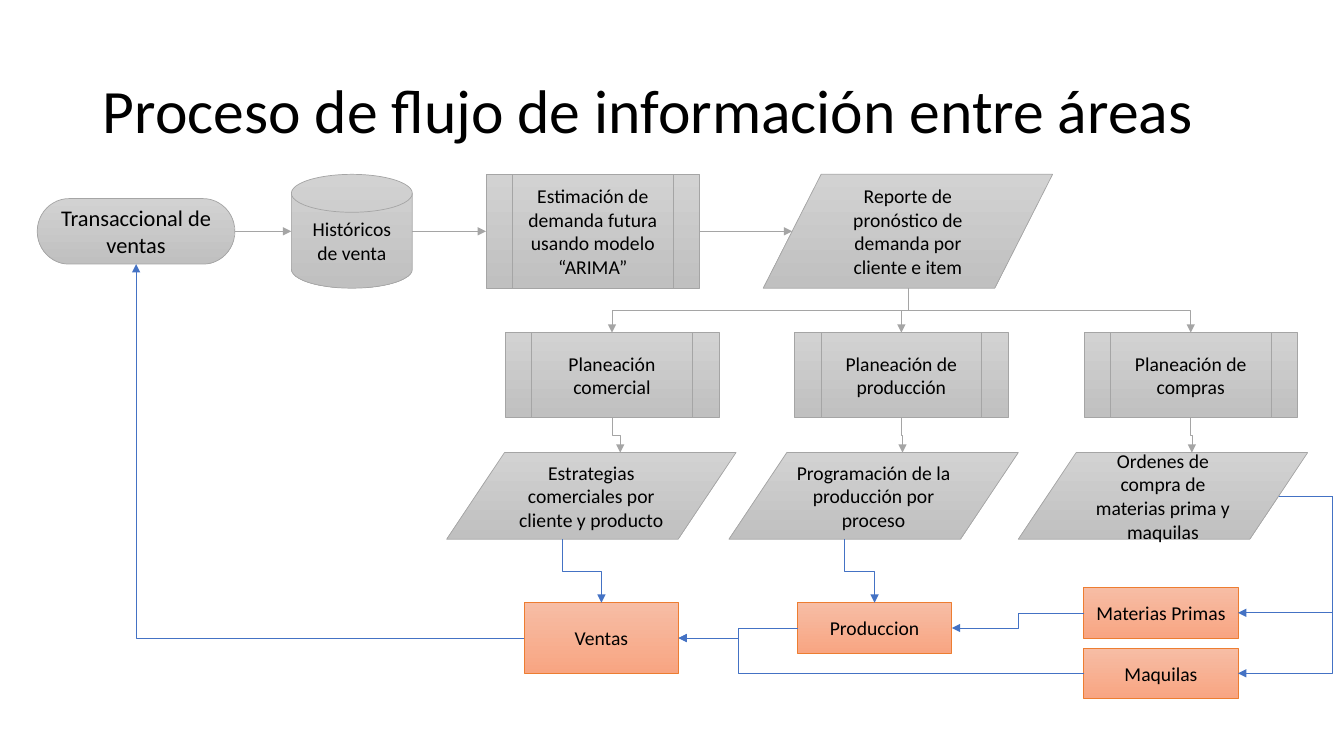
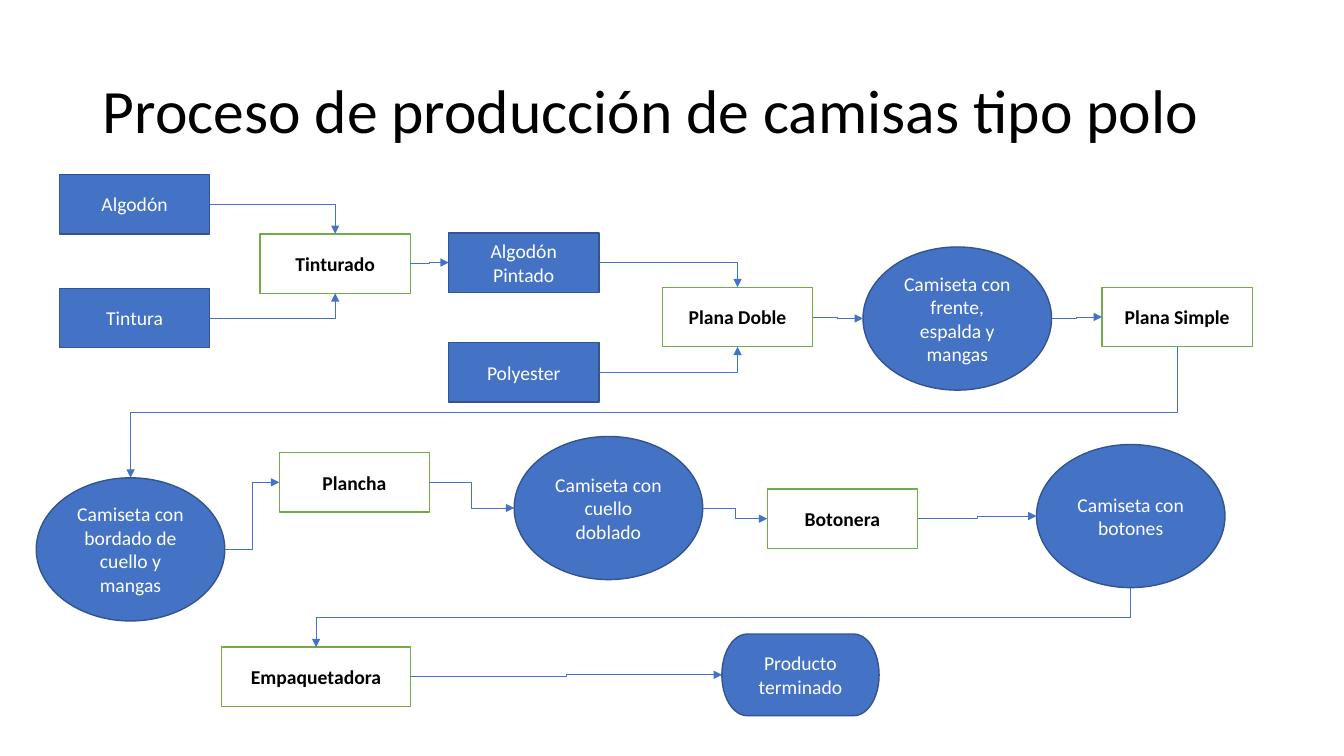
from dataclasses import dataclass
from lxml.etree import SubElement
from pptx import Presentation
from pptx.dml.color import RGBColor
from pptx.enum.shapes import MSO_CONNECTOR, MSO_SHAPE
from pptx.enum.text import MSO_ANCHOR, MSO_AUTO_SIZE, PP_ALIGN
from pptx.oxml.ns import qn
from pptx.util import Inches, Pt


@dataclass(frozen=True)
class Theme:
    font: str = "Calibri"
    black: str = "000000"
    white: str = "FFFFFF"
    gray: str = "A5A5A5"
    blue: str = "4472C4"
    navy: str = "325491"
    orange: str = "ED7D31"
    green: str = "70AD47"
    gray_blend: tuple = ("D2D2D2", "C0C0C0")
    orange_blend: tuple = ("F7BDA5", "F8A582")
    title_size: int = 44
    start_size: int = 16
    box_size: int = 14
    thin: float = 0.5
    outline: float = 1


@dataclass(frozen=True)
class Style:
    preset: MSO_SHAPE
    width: float
    height: float
    fill: object
    line: str
    line_width: float = 1
    text: str = "000000"
    size: int = 14
    bold: bool = False


THEME = Theme()
SLIDE_SIZE = (13.33, 7.5)
TITLE_BOX = (0.92, 0.4, 11.5, 1.45)


# Styles shared by families of boxes
def gray_style(preset, width, height, size=THEME.box_size):
    return Style(preset, width, height, THEME.gray_blend, THEME.gray, THEME.thin, size=size)


def area_style(height):
    return Style(MSO_SHAPE.RECTANGLE, 1.53, height, THEME.orange_blend, THEME.orange, THEME.thin)


def item_style(preset, width, height):
    return Style(preset, width, height, THEME.blue, THEME.navy, THEME.outline, THEME.white)


def machine_style(width):
    return Style(MSO_SHAPE.RECTANGLE, width, 0.59, THEME.white, THEME.green,
                 THEME.outline, bold=True)


STYLES = {
    "start": gray_style(MSO_SHAPE.FLOWCHART_TERMINATOR, 1.96, 0.65, THEME.start_size),
    "store": gray_style(MSO_SHAPE.FLOWCHART_MAGNETIC_DISK, 1.2, 1.13),
    "model": gray_style(MSO_SHAPE.FLOWCHART_PREDEFINED_PROCESS, 2.12, 1.13),
    "plan": gray_style(MSO_SHAPE.FLOWCHART_PREDEFINED_PROCESS, 2.12, 0.84),
    "report": gray_style(MSO_SHAPE.FLOWCHART_DATA, 2.87, 1.13),
    "output": gray_style(MSO_SHAPE.FLOWCHART_DATA, 2.87, 0.86),
    "sales": area_style(0.7),
    "area": area_style(0.5),
    "material": item_style(MSO_SHAPE.RECTANGLE, 1.49, 0.59),
    "garment": item_style(MSO_SHAPE.OVAL, 1.87, 1.42),
    "finished": item_style(MSO_SHAPE.FLOWCHART_TERMINATOR, 1.56, 0.81),
    "machine": machine_style(1.49),
    "packer": machine_style(1.87),
}

# Connection sites: side -> (site index, share of width, share of height)
BOX_SITES = {"top": (0, 0.5, 0), "left": (1, 0, 0.5),
             "bottom": (2, 0.5, 1), "right": (3, 1, 0.5)}
SITES = {
    MSO_SHAPE.FLOWCHART_MAGNETIC_DISK: {"left": (2, 0, 0.5), "right": (4, 1, 0.5)},
    MSO_SHAPE.FLOWCHART_DATA: {"top": (0, 0.6, 0), "left": (2, 0.1, 0.5),
                               "foot": (3, 0.4, 1), "bottom": (4, 0.5, 1),
                               "right": (5, 0.9, 0.5)},
    MSO_SHAPE.OVAL: {"top": (0, 0.5, 0), "left": (2, 0, 0.5),
                     "bottom": (4, 0.5, 1), "right": (6, 1, 0.5)},
}

# Content: boxes are key: (style, left, top, text)
# Links are (from, side, to, side, colour[, x of the bend])
PLAN_LEFT, PLAN_STEP = 5.01, 2.87
ROW_FORECAST, ROW_PLAN, ROW_OUTPUT, ROW_AREA = 1.73, 3.3, 4.49, 5.98
SUPPLY_LEFT = PLAN_LEFT + 2 * PLAN_STEP
OUTER_BEND, SALES_BEND = 13.22, 7.32

INFORMATION_BOXES = {
    "transactions": ("start", 0.37, 1.97, "Transaccional de ventas"),
    "history": ("store", 2.89, ROW_FORECAST, "Históricos de venta"),
    "estimate": ("model", 4.82, ROW_FORECAST,
                 "Estimación de demanda futura usando modelo “ARIMA”"),
    "forecast": ("report", 7.57, ROW_FORECAST,
                 "Reporte de pronóstico de demanda por cliente e item"),
    "plan_sales": ("plan", PLAN_LEFT, ROW_PLAN, "Planeación comercial"),
    "plan_making": ("plan", PLAN_LEFT + PLAN_STEP, ROW_PLAN, "Planeación de producción"),
    "plan_buying": ("plan", SUPPLY_LEFT, ROW_PLAN, "Planeación de compras"),
    "strategies": ("output", 4.43, ROW_OUTPUT,
                   "Estrategias comerciales por cliente y producto"),
    "schedule": ("output", 7.23, ROW_OUTPUT, "Programación de la producción por proceso"),
    "orders": ("output", 10.1, ROW_OUTPUT,
               "Ordenes de compra de materias prima y maquilas"),
    "sales": ("sales", 5.2, ROW_AREA, "Ventas"),
    "production": ("area", 7.91, ROW_AREA, "Produccion"),
    "raw": ("area", SUPPLY_LEFT, 5.83, "Materias Primas"),
    "contractors": ("area", SUPPLY_LEFT, 6.43, "Maquilas"),
}
INFORMATION_LINKS = [
    ("transactions", "right", "history", "left", THEME.gray),
    ("history", "right", "estimate", "left", THEME.gray),
    ("estimate", "right", "forecast", "left", THEME.gray),
    ("forecast", "bottom", "plan_sales", "top", THEME.gray),
    ("forecast", "bottom", "plan_making", "top", THEME.gray),
    ("forecast", "bottom", "plan_buying", "top", THEME.gray),
    ("plan_sales", "bottom", "strategies", "top", THEME.gray),
    ("plan_making", "bottom", "schedule", "top", THEME.gray),
    ("plan_buying", "bottom", "orders", "top", THEME.gray),
    ("strategies", "foot", "sales", "top", THEME.blue),
    ("schedule", "foot", "production", "top", THEME.blue),
    ("sales", "left", "transactions", "bottom", THEME.blue),
    ("orders", "right", "raw", "right", THEME.blue, OUTER_BEND),
    ("orders", "right", "contractors", "right", THEME.blue, OUTER_BEND),
    ("raw", "left", "production", "right", THEME.blue),
    ("contractors", "left", "sales", "right", THEME.blue, SALES_BEND),
    ("production", "left", "sales", "right", THEME.blue),
]

SHIRT_BOXES = {
    "cotton": ("material", 0.59, 1.73, "Algodón"),
    "dye": ("material", 0.59, 2.86, "Tintura"),
    "dyeing": ("machine", 2.58, 2.32, "Tinturado"),
    "dyed": ("material", 4.45, 2.31, "Algodón Pintado"),
    "polyester": ("material", 4.45, 3.4, "Polyester"),
    "double": ("machine", 6.57, 2.85, "Plana Doble"),
    "body": ("garment", 8.56, 2.45, "Camiseta con frente, espalda y mangas"),
    "single": ("machine", 10.93, 2.85, "Plana Simple"),
    "hemmed": ("garment", 0.36, 4.74, "Camiseta con bordado de cuello y mangas"),
    "press": ("machine", 2.77, 4.49, "Plancha"),
    "folded": ("garment", 5.1, 4.33, "Camiseta con cuello doblado"),
    "buttoner": ("machine", 7.61, 4.85, "Botonera"),
    "buttoned": ("garment", 10.28, 4.41, "Camiseta con botones"),
    "packer": ("packer", 2.2, 6.42, "Empaquetadora"),
    "finished": ("finished", 7.16, 6.29, "Producto terminado"),
}
SHIRT_LINKS = [(*ends, THEME.blue) for ends in (
    ("cotton", "right", "dyeing", "top"),
    ("dye", "right", "dyeing", "bottom"),
    ("dyeing", "right", "dyed", "left"),
    ("dyed", "right", "double", "top"),
    ("polyester", "right", "double", "bottom"),
    ("double", "right", "body", "left"),
    ("body", "right", "single", "left"),
    ("single", "bottom", "hemmed", "top"),
    ("hemmed", "right", "press", "left"),
    ("press", "right", "folded", "left"),
    ("folded", "right", "buttoner", "left"),
    ("buttoner", "right", "buttoned", "left"),
    ("buttoned", "bottom", "packer", "top"),
    ("packer", "right", "finished", "left"),
)]

SLIDES = [
    ("Proceso de flujo de información entre áreas", INFORMATION_BOXES, INFORMATION_LINKS),
    ("Proceso de producción de camisas tipo polo", SHIRT_BOXES, SHIRT_LINKS),
]


def write(frame, text, size, color, align, bold=False):
    frame.word_wrap = True
    frame.vertical_anchor = MSO_ANCHOR.MIDDLE
    paragraph = frame.paragraphs[0]
    paragraph.alignment = align
    run = paragraph.add_run()
    run.text = text
    run.font.name, run.font.size, run.font.bold = THEME.font, Pt(size), bold
    run.font.color.rgb = RGBColor.from_string(color)
    return paragraph


def add_title(slide, text):
    title = slide.shapes.title
    title.left, title.top, title.width, title.height = map(Inches, TITLE_BOX)
    title.text_frame.auto_size = MSO_AUTO_SIZE.NONE
    paragraph = write(title.text_frame, text, THEME.title_size, THEME.black, PP_ALIGN.LEFT)
    paragraph.line_spacing = 0.9


def add_box(slide, style, left, top, text):
    shape = slide.shapes.add_shape(
        style.preset, *map(Inches, (left, top, style.width, style.height)))
    shape.shadow.inherit = False
    if isinstance(style.fill, tuple):
        shape.fill.gradient()
        shape.fill.gradient_angle = 270
        for stop, color, position in zip(shape.fill.gradient_stops, style.fill, (0, 1)):
            stop.color.rgb = RGBColor.from_string(color)
            stop.position = position
    else:
        shape.fill.solid()
        shape.fill.fore_color.rgb = RGBColor.from_string(style.fill)
    shape.line.color.rgb = RGBColor.from_string(style.line)
    shape.line.width = Pt(style.line_width)
    write(shape.text_frame, text, style.size, style.text, PP_ALIGN.CENTER, style.bold)
    return shape


def site_of(shape, side):
    index, across, down = SITES.get(shape.auto_shape_type, BOX_SITES)[side]
    return index, shape.left + across * shape.width, shape.top + down * shape.height


def add_link(slide, shapes, source, source_side, target, target_side, color, bend=None):
    start_index, x1, y1 = site_of(shapes[source], source_side)
    end_index, x2, y2 = site_of(shapes[target], target_side)
    connector = slide.shapes.add_connector(MSO_CONNECTOR.ELBOW, 0, 0, 0, 0)

    # Join both ends, then name the exact sites
    connector.begin_connect(shapes[source], 0)
    connector.end_connect(shapes[target], 0)
    joints = connector._element.nvCxnSpPr.cNvCxnSpPr
    joints.find(qn("a:stCxn")).set("idx", str(start_index))
    joints.find(qn("a:endCxn")).set("idx", str(end_index))

    # Turn and flip the elbow so that it leaves its side squarely
    sideways = source_side in ("left", "right")
    width, height = abs(x2 - x1), abs(y2 - y1)
    turn, flips = 0, ""
    if not sideways:
        width, height = height, width
        turn, flips = (270, "flipH") if x2 > x1 else (90, "")
    elif source_side == target_side:
        flips = "flipH"
    elif x2 < x1:
        turn, flips = 180, "flipV" if y2 > y1 else ""
    elif y2 < y1:
        flips = "flipV"
    connector.left, connector.top = int((x1 + x2 - width) / 2), int((y1 + y2 - height) / 2)
    connector.width, connector.height = int(width), int(height)
    properties = connector._element.spPr
    frame = properties.find(qn("a:xfrm"))
    for name in ("flipH", "flipV"):
        frame.set(name, "1" if name == flips else "0")
    frame.set("rot", str(turn * 60000))

    # One corner when the ends are square to each other, else a movable bend
    geometry = properties.find(qn("a:prstGeom"))
    if sideways and target_side in ("top", "bottom"):
        geometry.set("prst", "bentConnector2")
    elif bend:
        share = (Inches(bend) - x1) / (x2 - x1)
        SubElement(geometry.find(qn("a:avLst")), qn("a:gd"), name="adj1",
                   fmla=f"val {round(share * 100000)}")

    connector.line.color.rgb = RGBColor.from_string(color)
    connector.line.width = Pt(THEME.thin)
    SubElement(connector.line._get_or_add_ln(), qn("a:tailEnd"), type="triangle")
    SubElement(properties, qn("a:effectLst"))


def main():
    presentation = Presentation()
    presentation.slide_width, presentation.slide_height = map(Inches, SLIDE_SIZE)
    title_only = presentation.slide_layouts[5]
    for title, boxes, links in SLIDES:
        slide = presentation.slides.add_slide(title_only)
        add_title(slide, title)
        shapes = {key: add_box(slide, STYLES[style], left, top, text)
                  for key, (style, left, top, text) in boxes.items()}
        for link in links:
            add_link(slide, shapes, *link)
    presentation.save("out.pptx")


if __name__ == "__main__":
    main()
